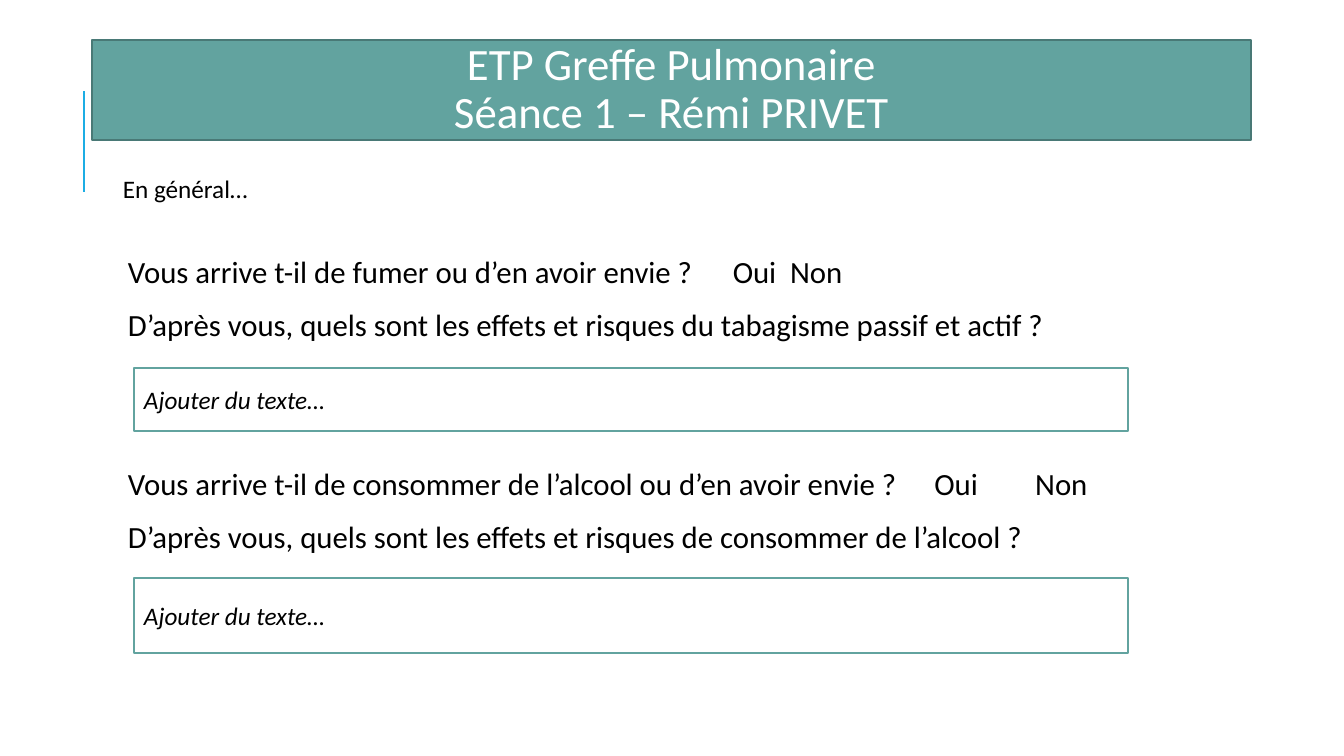
from lxml import etree
from pptx import Presentation
from pptx import util as u
from pptx.dml.color import RGBColor
from pptx.enum import shapes, text
from pptx.oxml.ns import qn

PX = 914400 / 100.8
THEME = {
    "teal": RGBColor.from_string("62A39F"),
    "edge": RGBColor.from_string("497976"),
    "accent": RGBColor.from_string("1CADE4"),
    "black": RGBColor.from_string("000000"),
    "white": RGBColor.from_string("FFFFFF"),
    "font": "Calibri",
    "title": 32,
    "body": 22,
    "small": 18,
}


def px(*values):
    return [u.Emu(round(v * PX)) for v in values]


def add_run(p, content, size, color="black", italic=False):
    r = p.add_run()
    r.text = content
    r.font.name = THEME["font"]
    r.font.size = u.Pt(THEME[size])
    r.font.color.rgb = THEME[color]
    r.font.italic = italic


prs = Presentation()
prs.slide_width, prs.slide_height = px(1344, 756)
s = prs.slides.add_slide(prs.slide_layouts[1])

line = s.shapes.add_connector(shapes.MSO_CONNECTOR.STRAIGHT, *px(84, 192, 84, 91))
line.line.color.rgb = THEME["accent"]
line.line.width = u.Pt(1.5)
etree.SubElement(line._element.spPr, qn("a:effectLst"))

title = s.shapes.title
title.left, title.top, title.width, title.height = px(92, 40, 1159, 100)
title.fill.solid()
title.fill.fore_color.rgb = THEME["teal"]
title.line.color.rgb = THEME["edge"]
title.line.width = u.Pt(1.25)
tf = title.text_frame
tf.auto_size = text.MSO_AUTO_SIZE.NONE
tf.vertical_anchor = text.MSO_ANCHOR.MIDDLE
p = tf.paragraphs[0]
p.alignment = text.PP_ALIGN.CENTER
p.line_spacing = 0.9
add_run(p, "ETP Greffe Pulmonaire", "title", "white")
p.add_line_break()
add_run(p, "Séance 1 – Rémi PRIVET", "title", "white")

body = s.placeholders[1]
body.left, body.top, body.width, body.height = px(113, 252, 1072, 444)
tf = body.text_frame
tf.auto_size = text.MSO_AUTO_SIZE.NONE
tf.vertical_anchor = text.MSO_ANCHOR.TOP
tf.margin_left, tf.margin_top, tf.margin_right, tf.margin_bottom = px(15, 5, 5, 5)
questions = [
    ("Vous arrive t-il de fumer ou d’en avoir envie ? \tOui\t Non", 12),
    ("D’après vous, quels sont les effets et risques du tabagisme passif et actif ?", 12),
    ("Vous arrive t-il de consommer de l’alcool ou d’en avoir envie ? \tOui \tNon", 88),
    ("D’après vous, quels sont les effets et risques de consommer de l’alcool ?", 12),
]
for i, (question, before) in enumerate(questions):
    p = tf.paragraphs[0] if i == 0 else tf.add_paragraph()
    p.line_spacing = 0.9
    p.space_before = u.Pt(before)
    p.space_after = u.Pt(2)
    pPr = p._p.get_or_add_pPr()
    pPr.set("marL", "0")
    pPr.set("indent", "0")
    etree.SubElement(pPr, qn("a:buNone"))
    tabs = etree.SubElement(pPr, qn("a:tabLst"))
    for stop in px(595, 696, 796, 897):
        etree.SubElement(tabs, qn("a:tab"), pos=str(stop), algn="l")
    add_run(p, question, "body")

for top, height in [(368, 63), (578, 75)]:
    sp = s.shapes.add_shape(shapes.MSO_SHAPE.RECTANGLE, *px(134, top, 994, height))
    sp.shadow.inherit = False
    sp.fill.solid()
    sp.fill.fore_color.rgb = THEME["white"]
    sp.line.color.rgb = THEME["teal"]
    sp.line.width = u.Pt(1.25)
    tf = sp.text_frame
    tf.vertical_anchor = text.MSO_ANCHOR.MIDDLE
    p = tf.paragraphs[0]
    p.alignment = text.PP_ALIGN.LEFT
    add_run(p, "Ajouter du texte…", "small", italic=True)

sp = s.shapes.add_textbox(*px(113, 168, 432, 40))
sp.text_frame.word_wrap = True
add_run(sp.text_frame.paragraphs[0], "En général…", "small")

prs.save("out.pptx")
